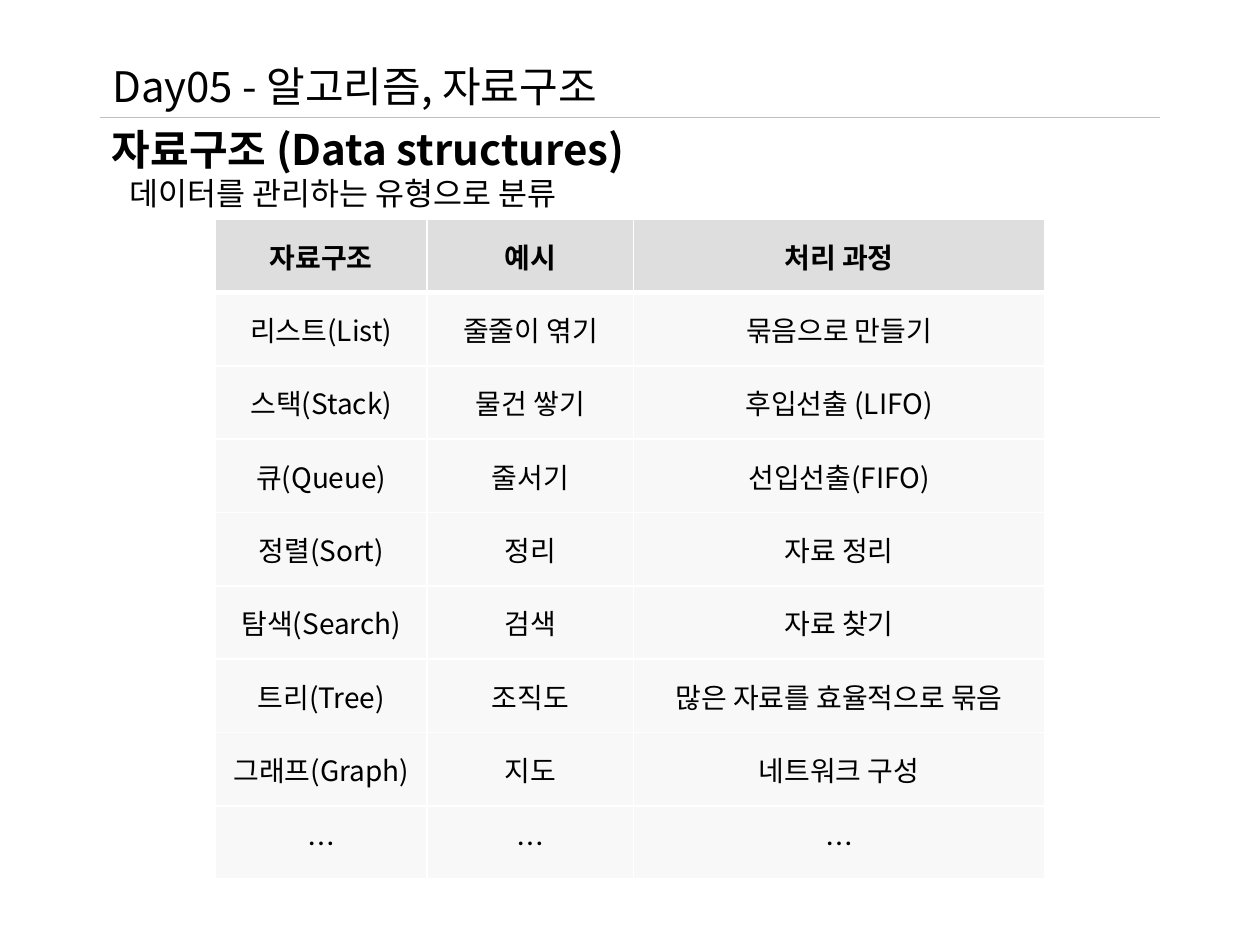
from lxml.etree import SubElement
from pptx import Presentation
from pptx.dml.color import RGBColor
from pptx.enum.shapes import MSO_CONNECTOR
from pptx.enum.text import MSO_ANCHOR, MSO_AUTO_SIZE, PP_ALIGN
from pptx.oxml import parse_xml
from pptx.oxml.ns import nsdecls, qn
from pptx.util import Inches, Pt

FONT = "Noto Sans CJK KR"
COLORS = {"text": "000000", "rule": "BFBFBF", "header": "BFBFBF",
          "body": "F2F2F2", "border": "FFFFFF"}
COLUMN_WIDTHS = [1.68, 1.64, 3.26]
ROW_HEIGHT = 5.24 / 9
ROWS = [
    ("자료구조", "예시", "처리 과정"),
    ("리스트(List)", "줄줄이 엮기", "묶음으로 만들기"),
    ("스택(Stack)", "물건 쌓기", "후입선출 (LIFO)"),
    ("큐(Queue)", "줄서기", "선입선출(FIFO)"),
    ("정렬(Sort)", "정리", "자료 정리"),
    ("탐색(Search)", "검색", "자료 찾기"),
    ("트리(Tree)", "조직도", "많은 자료를 효율적으로 묶음"),
    ("그래프(Graph)", "지도", "네트워크 구성"),
    ("…", "…", "…"),
]


def write(p, text, size=16, bold=False, align=PP_ALIGN.LEFT, indent=0):
    p.alignment = align
    if indent:
        p._p.get_or_add_pPr().set("marL", str(Inches(indent)))
    r = p.add_run()
    r.text = text
    r.font.name = FONT
    r.font.size = Pt(size)
    r.font.bold = bold
    r.font.color.rgb = RGBColor.from_string(COLORS["text"])
    SubElement(r._r.get_or_add_rPr(), qn("a:ea"), typeface=FONT)


def fill_cell(cell, color):
    """Fill a cell at half opacity."""
    cell.fill.solid()
    cell.fill.fore_color.rgb = RGBColor.from_string(color)
    rgb = cell._tc.tcPr.find(".//" + qn("a:srgbClr"))
    SubElement(rgb, qn("a:alpha"), val="50000")


def border_cell(cell, top=1, bottom=1):
    widths = {"lnL": 1, "lnR": 1, "lnT": top, "lnB": bottom}
    for i, (tag, width) in enumerate(widths.items()):
        cell._tc.tcPr.insert(i, parse_xml(
            f'<a:{tag} {nsdecls("a")} w="{Pt(width)}"><a:solidFill>'
            f'<a:srgbClr val="{COLORS["border"]}"/></a:solidFill></a:{tag}>'))


class SlideBuilder:
    def __init__(self, prs):
        self.s = prs.slides.add_slide(prs.slide_layouts[5])

    def frame(self, sp):
        tf = sp.text_frame
        tf.word_wrap = True
        tf.auto_size = MSO_AUTO_SIZE.SHAPE_TO_FIT_TEXT
        tf.vertical_anchor = MSO_ANCHOR.TOP
        return tf

    def title(self, text, x, y, w, h):
        sp = self.s.shapes.title
        sp.left, sp.top, sp.width, sp.height = map(Inches, (x, y, w, h))
        write(self.frame(sp).paragraphs[0], text, size=24)

    def heading(self, text, subtitle, x, y, w, h):
        tf = self.frame(self.s.shapes.add_textbox(*map(Inches, (x, y, w, h))))
        write(tf.paragraphs[0], text, size=24, bold=True)
        write(tf.add_paragraph(), subtitle, size=18, indent=0.14)

    def rule(self, x1, x2, y):
        line = self.s.shapes.add_connector(
            MSO_CONNECTOR.STRAIGHT, *map(Inches, (x1, y, x2, y)))
        line.line.color.rgb = RGBColor.from_string(COLORS["rule"])
        line.line.width = Pt(0.75)
        SubElement(line._element.spPr, qn("a:effectLst"))

    def table(self, rows, widths, x, y):
        table = self.s.shapes.add_table(
            len(rows), len(widths), Inches(x), Inches(y),
            Inches(sum(widths)), Inches(ROW_HEIGHT * len(rows))).table
        table.horz_banding = False
        for column, width in zip(table.columns, widths):
            column.width = Inches(width)
        for i, row in enumerate(rows):
            table.rows[i].height = Inches(ROW_HEIGHT)
            for j, text in enumerate(row):
                cell = table.cell(i, j)
                cell.vertical_anchor = MSO_ANCHOR.MIDDLE
                write(cell.text_frame.paragraphs[0], text, bold=i == 0,
                      align=PP_ALIGN.CENTER)
                fill_cell(cell, COLORS["body" if i else "header"])
                border_cell(cell, top=3 if i == 1 else 1,
                            bottom=1 if i else 3)


def main():
    prs = Presentation()
    prs.slide_width, prs.slide_height = Inches(10), Inches(7.5)
    slide = SlideBuilder(prs)
    slide.title("Day05 - 알고리즘, 자료구조", 0.79, 0.43, 8.43, 0.5)
    slide.heading("자료구조 (Data structures)", "데이터를 관리하는 유형으로 분류",
                  0.79, 0.93, 8.43, 0.81)
    slide.rule(0.79, 9.21, 0.93)
    slide.table(ROWS, COLUMN_WIDTHS, 1.71, 1.74)
    prs.save("out.pptx")


if __name__ == "__main__":
    main()
